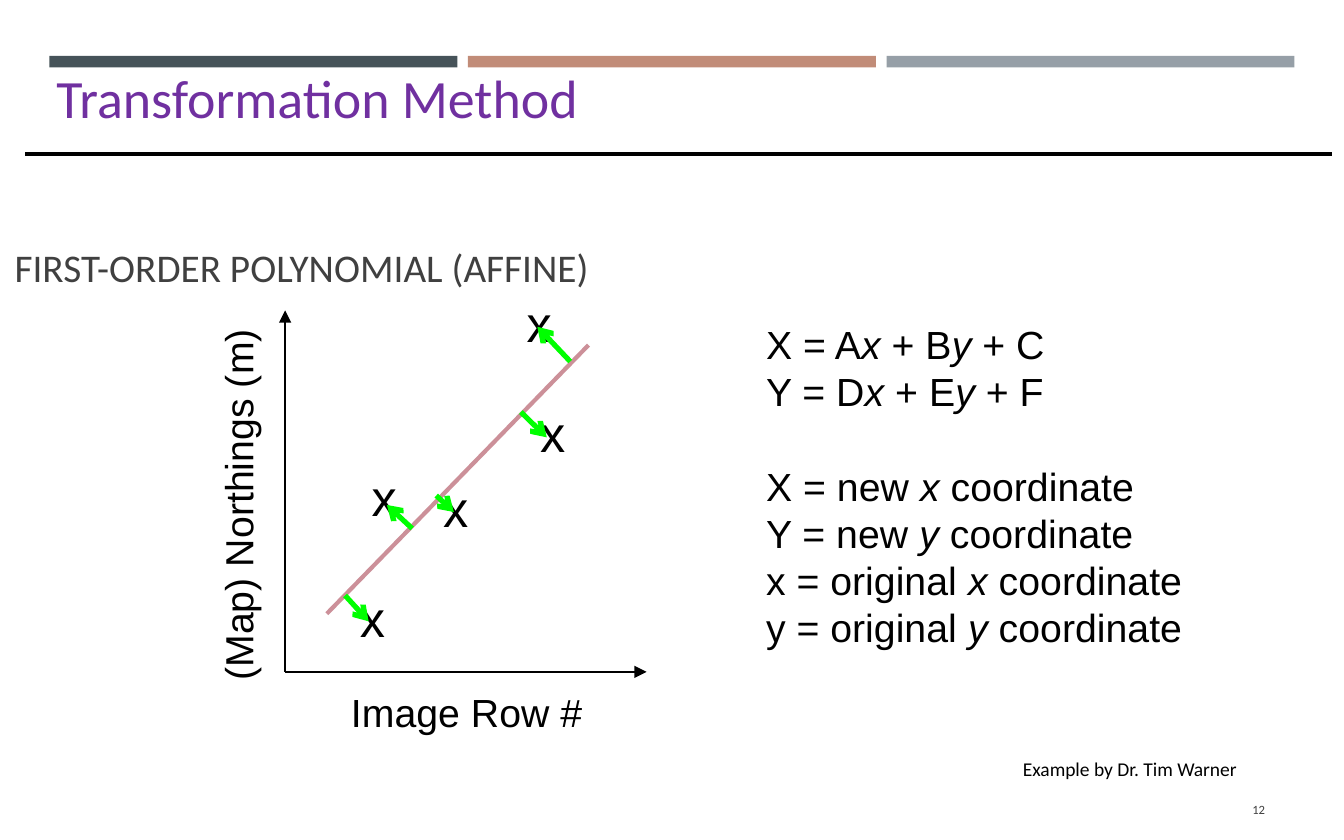
from lxml import etree
from pptx import Presentation
from pptx.dml.color import RGBColor
from pptx.enum.shapes import MSO_CONNECTOR as Connector, MSO_SHAPE as Preset
from pptx.enum.text import MSO_ANCHOR as Anchor, MSO_AUTO_SIZE as AutoSize, PP_ALIGN as Align
from pptx.oxml.ns import qn
from pptx.util import Cm, Pt

COLORS = {
    "slate": "465359", "clay": "C18C78", "steel": "969FA7",
    "title": "7030A0", "gray": "404040", "black": "000000",
    "fit": "CC9099", "residual": "00FF00",
}
EQUATIONS = [
    ["X = A", "x", " + B", "y", " + C"],
    ["Y = D", "x", " + E", "y", " + F"],
    ["X = new ", "x", " coordinate"],
    ["Y = new ", "y", " coordinate"],
    ["x = original ", "x", " coordinate"],
    ["y = original ", "y", " coordinate"],
]
DEFINITIONS_START = 2
EQUATION_PITCH = Pt(22.7)
POINTS = [(6.07, 7.8), (8.94, 6.71), (5.87, 9.86), (8.71, 4.85), (7.29, 8)]
RESIDUALS = [
    ((5.87, 10.13), (6.27, 10.57)),
    ((9.7, 6.15), (9.14, 5.56)),
    ((7.01, 8.99), (6.58, 8.59)),
    ((8.86, 7.01), (9.3, 7.44)),
    ((7.42, 8.43), (7.72, 8.71)),
]


def rgb(name):
    return RGBColor.from_string(COLORS[name])


def add_bar(slide, left, color):
    bar = slide.shapes.add_shape(Preset.RECTANGLE, Cm(left), Cm(0.95), Cm(6.94), Cm(0.2))
    bar.shadow.inherit = False
    bar.fill.solid()
    bar.fill.fore_color.rgb = rgb(color)
    bar.line.fill.background()


def add_line(slide, start, end, color, width, arrow=None):
    line = slide.shapes.add_connector(
        Connector.STRAIGHT, *(Cm(value) for value in (*start, *end)))
    line.line.color.rgb = rgb(color)
    line.line.width = Pt(width)
    if arrow:
        etree.SubElement(line.line._get_or_add_ln(), qn("a:tailEnd"), type=arrow)
    etree.SubElement(line._element.spPr, qn("a:effectLst"))


def add_text(slide, place, lines, size, font="Arial", color="black",
             anchor=Anchor.TOP, align=Align.LEFT, wrap=False):
    box = slide.shapes.add_textbox(*(Cm(value) for value in place))
    frame = box.text_frame
    frame.word_wrap = wrap
    frame.auto_size = AutoSize.NONE if wrap else AutoSize.SHAPE_TO_FIT_TEXT
    frame.vertical_anchor = anchor
    for number, pieces in enumerate(lines):
        paragraph = frame.add_paragraph() if number else frame.paragraphs[0]
        paragraph.alignment = align
        for position, piece in enumerate(pieces):
            run = paragraph.add_run()
            run.text = piece
            run.font.name = font
            run.font.size = Pt(size)
            run.font.italic = position % 2 == 1
            run.font.color.rgb = rgb(color)
    return box


def add_headings(slide):
    for number, color in enumerate(("slate", "clay", "steel")):
        add_bar(slide, 0.84 + 7.12 * number, color)
    add_text(slide, (0.71, 0.46, 22, 2.39), [["Transformation Method"]], 26,
             "Calibri", "title", Anchor.MIDDLE, wrap=True)
    add_line(slide, (0.43, 2.62), (22.66, 2.62), "black", 1.75)
    add_text(slide, (0, 2.67, 20.57, 2.39), [["FIRST-ORDER POLYNOMIAL (AFFINE)"]], 18.9,
             "Calibri", "gray", Anchor.BOTTOM, wrap=True)


def add_plot(slide):
    origin = (4.85, 11.43)
    for tip in ((4.85, 5.28), (11, 11.43)):
        add_line(slide, origin, tip, "black", 1, "triangle")
    add_text(slide, (5.72, 11.58, 4.47, 1.07), [["Image Row #"]], 18.9)
    northings = add_text(slide, (0.79, 8.03, 6.53, 1.07), [["(Map) Northings (m)"]], 18.9)
    northings.rotation = 270
    for left, top in POINTS:
        add_text(slide, (left, top, 0.94, 1.3), [["x"]], 24.3)
    add_line(slide, (5.56, 10.44), (10.01, 5.87), "fit", 2)
    for start, end in RESIDUALS:
        add_line(slide, start, end, "residual", 2.5, "arrow")


def add_equations(slide):
    equations = add_text(slide, (12.78, 5.33, 7.65, 5.92), EQUATIONS, 18.9)
    paragraphs = equations.text_frame.paragraphs
    for paragraph in paragraphs:
        paragraph.line_spacing = EQUATION_PITCH
    paragraphs[DEFINITIONS_START].space_before = EQUATION_PITCH


def add_footer(slide):
    credit = add_text(slide, (17.15, 12.8, 5.6, 0.61), [["Example by Dr. Tim Warner"]],
                      9.4, "Calibri", wrap=True)
    credit.text_frame.paragraphs[0].line_spacing = 0.9
    add_text(slide, (19.79, 13.39, 1.98, 0.76), [["12"]], 6.1, "Calibri", "gray",
             Anchor.MIDDLE, Align.RIGHT, wrap=True)


def main():
    deck = Presentation()
    deck.slide_width, deck.slide_height = Cm(22.86), Cm(14.29)
    slide = deck.slides.add_slide(deck.slide_layouts[6])
    add_headings(slide)
    add_plot(slide)
    add_equations(slide)
    add_footer(slide)
    deck.save("out.pptx")


if __name__ == "__main__":
    main()
